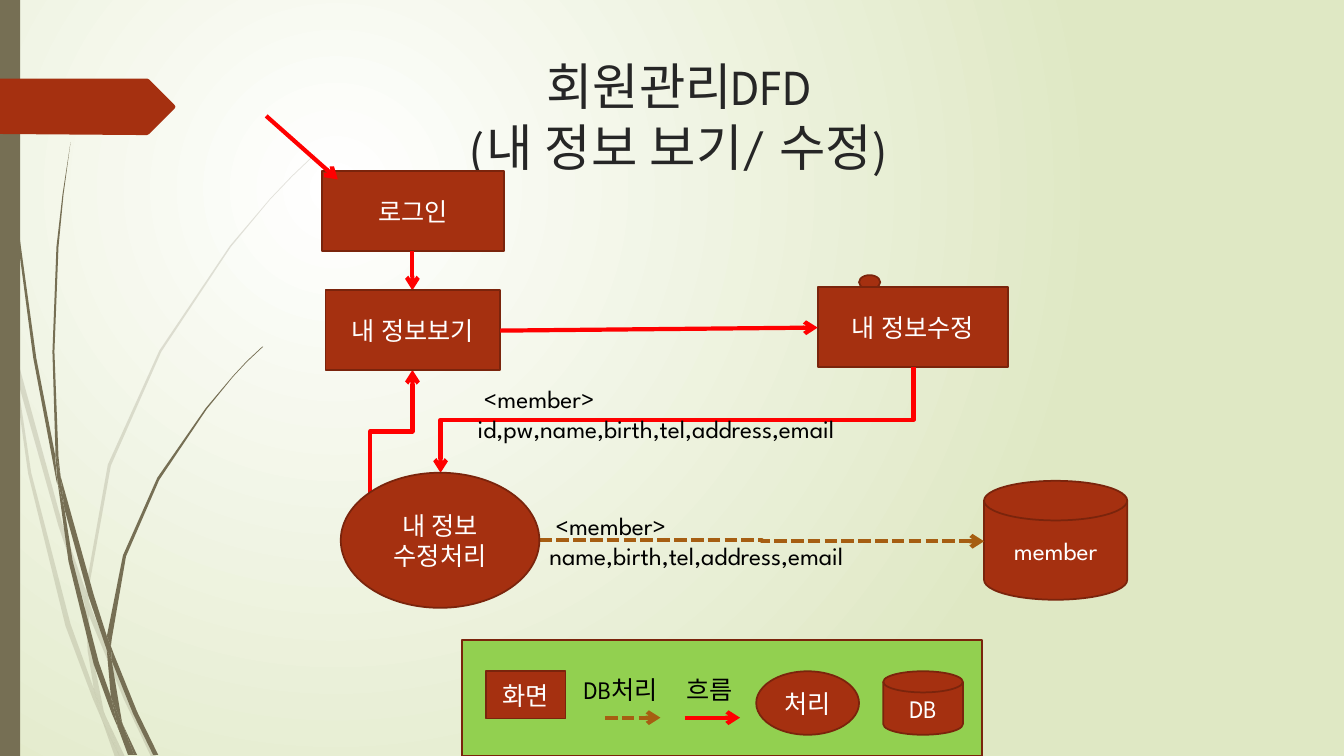
from lxml.etree import SubElement
from pptx import Presentation
from pptx.dml.color import RGBColor
from pptx.enum.dml import MSO_LINE_DASH_STYLE as Dash
from pptx.enum.shapes import MSO_CONNECTOR_TYPE as Link, MSO_SHAPE as Shape
from pptx.enum.text import MSO_ANCHOR as Anchor, MSO_AUTO_SIZE as AutoSize, PP_ALIGN as Align
from pptx.oxml.ns import qn
from pptx.util import Pt

PX = 9144
FONT = "League Spartan"
RUST, RUST_EDGE, OLIVE = "A53010", "7A240C", "766F54"
FLOW, STORE = "FF0000", "A65E12"

PALE_BLADES = [
    [(11, 350), (9, 322), (0, 282), (0, 299), (10, 344)],
    [(58, 522), (84, 599), (85, 586), (62, 520), (14, 345), (17, 376)],
    [(92, 607), (88, 596), (88, 610), (123, 694), (150, 751), (155, 751), (127, 692)],
    [(119, 751), (124, 751), (105, 711)],
    [(93, 683), (70, 619), (31, 469), (17, 376), (11, 350), (28, 470), (65, 621), (92, 693),
     (101, 714), (99, 707)],
    [(84, 599), (87, 646), (93, 683), (96, 692), (105, 711), (103, 706), (91, 646), (88, 610),
     (88, 608)],
    [(88, 584), (110, 462), (160, 349), (229, 245), (268, 198), (290, 175), (312, 154), (312, 153),
     (289, 175), (268, 197), (228, 244), (158, 348), (107, 461), (85, 584), (85, 586), (88, 596)],
    [(101, 714), (114, 751), (119, 751)],
    [(88, 608), (88, 610), (88, 596), (85, 586), (84, 599)],
    [(96, 692), (93, 683), (99, 707), (101, 714), (119, 751), (105, 711)],
]
DARK_BLADES = [
    [(7, 110), (17, 233), (33, 355), (56, 477), (57, 481), (55, 457), (55, 453), (36, 355),
     (19, 232), (8, 109), (5, 48), (4, 0), (3, 0), (4, 48)],
    [(88, 592), (106, 645), (106, 633), (106, 631), (93, 590), (60, 472), (64, 505)],
    [(113, 649), (110, 641), (111, 656), (132, 708), (152, 749), (157, 749), (136, 706)],
    [(110, 691), (98, 657), (72, 556), (64, 505), (57, 477), (68, 557), (93, 659), (111, 708),
     (117, 722), (116, 717)],
    [(60, 472), (58, 453), (54, 349), (58, 245), (63, 193), (70, 141), (62, 193), (56, 245),
     (52, 349), (55, 449)],
    [(133, 749), (136, 749), (122, 719)],
    [(57, 477), (64, 505), (60, 472), (55, 449), (55, 453)],
    [(111, 633), (125, 552), (158, 476), (205, 406), (231, 374), (245, 359), (261, 344), (260, 344),
     (245, 358), (231, 373), (204, 405), (156, 474), (122, 551), (106, 631), (110, 641)],
    [(117, 722), (127, 749), (131, 749)],
    [(106, 645), (110, 691), (116, 706), (122, 719), (121, 716), (111, 656), (109, 651)],
    [(106, 645), (109, 651), (111, 656), (110, 641), (106, 631), (106, 633)],
    [(116, 706), (110, 691), (116, 717), (117, 722), (130, 749), (133, 749), (122, 719)],
]
TAB = [(173, 108), (148, 133), (146, 134), (136, 134), (0, 133), (0, 78), (136, 78), (146, 78),
       (148, 79), (173, 104), (174, 106)]


def color(value):
    """Turn a hex string into a colour."""
    return RGBColor.from_string(value)


def write(shape, text, size=18, ink="FFFFFF", align=Align.CENTER, anchor=Anchor.MIDDLE, wrap=True):
    """Put formatted text, one paragraph a line, into a shape."""
    frame = shape.text_frame
    frame.text = text
    frame.word_wrap = wrap
    frame.auto_size = AutoSize.NONE
    frame.vertical_anchor = anchor
    for para in frame.paragraphs:
        para.alignment = align
        for span in para.runs:
            span.font.size = Pt(size)
            span.font.color.rgb = color(ink)
            span.font.name = FONT
            SubElement(span.font._element, qn("a:ea"), typeface=FONT)


def paint(shape, fill, edge=None):
    """Give a shape a flat fill and, where named, a thin edge."""
    shape.shadow.inherit = False
    shape.fill.solid()
    shape.fill.fore_color.rgb = color(fill)
    if edge:
        shape.line.color.rgb = color(edge)
        shape.line.width = Pt(1.25)
    else:
        shape.line.fill.background()


def add_node(page, kind, box, text="", fill=RUST, edge=RUST_EDGE):
    """Draw a filled preset shape with centred text."""
    node = page.shapes.add_shape(kind, *(value * PX for value in box))
    paint(node, fill, edge)
    if text:
        write(node, text)


def add_outline(page, points, fill=OLIVE, alpha=None):
    """Draw a closed outline, see-through where an alpha percentage is given."""
    builder = page.shapes.build_freeform(*points[0], scale=PX)
    builder.add_line_segments(points[1:], close=True)
    outline = builder.convert_to_shape()
    paint(outline, fill)
    if alpha:
        tint = outline.element.spPr.find(qn("a:solidFill"))[0]
        SubElement(tint, qn("a:alpha"), val=str(alpha * 1000))


def add_label(page, box, text):
    """Place plain black text at the top left of a box."""
    label = page.shapes.add_textbox(*(value * PX for value in box))
    write(label, text, ink="000000", align=Align.LEFT, anchor=Anchor.TOP, wrap=False)


def add_arrow(page, start, end, ink=FLOW, kind=Link.STRAIGHT, upright=False, dashed=False):
    """Draw an arrow; an upright elbow leaves and arrives vertically."""
    (x1, y1), (x2, y2) = start, end
    if upright:
        mid_x, mid_y = (x1 + x2) / 2, (y1 + y2) / 2
        half_x, half_y = (x2 - x1) / 2, (y2 - y1) / 2
        x1, y1, x2, y2 = mid_x - half_y, mid_y + half_x, mid_x + half_y, mid_y - half_x
    arrow = page.shapes.add_connector(kind, *(int(value * PX) for value in (x1, y1, x2, y2)))
    arrow.line.color.rgb = color(ink)
    arrow.line.width = Pt(3)
    if dashed:
        arrow.line.dash_style = Dash.SQUARE_DOT
    properties = arrow.element.spPr
    if upright:
        properties.find(qn("a:xfrm")).set("rot", "5400000")
    SubElement(properties.find(qn("a:ln")), qn("a:tailEnd"), type="arrow")
    SubElement(properties, qn("a:effectLst"))


def draw_backdrop(page, height):
    """Paint the glow, the grass, the side bar and the pointer tab."""
    fill = page.background.fill
    fill.gradient()
    for stop, ink in zip(fill.gradient_stops, ("FFFFFF", "DFE8C4")):
        stop.color.rgb = color(ink)
    gradient = next(page.element.iter(qn("a:gradFill")))
    gradient.remove(gradient.find(qn("a:lin")))
    glow = SubElement(gradient, qn("a:path"), path="circle")
    SubElement(glow, qn("a:fillToRect"), l="50000", t="50000", r="100000", b="100000")
    for points in PALE_BLADES:
        add_outline(page, points, alpha=20)
    for points in DARK_BLADES:
        add_outline(page, points)
    add_node(page, Shape.RECTANGLE, (0, 0, 20, height), fill=OLIVE, edge=None)
    add_outline(page, TAB, fill=RUST)


def draw_title(page, box):
    """Move and fill the title placeholder."""
    title = page.shapes.title
    title.left, title.top, title.width, title.height = (value * PX for value in box)
    write(title, "회원관리DFD\n(내 정보 보기/ 수정)", size=36, ink="262626", anchor=Anchor.TOP)
    tree = title.element.getparent()
    tree.append(title.element)


def draw_flow(page, box):
    """Draw the screens, the process, the store and the flows between them."""
    left, top = box[:2]

    def at(x, y, *size):
        return (left + x, top + y, *size)

    add_node(page, Shape.RECTANGLE, at(55, 55, 181, 79), "로그인")
    add_arrow(page, at(0, 0), at(71, 63))
    add_node(page, Shape.OVAL, at(588, 158, 21, 14))
    add_node(page, Shape.RECTANGLE, at(547, 170, 189, 79), "내 정보수정")
    add_node(page, Shape.FLOWCHART_MAGNETIC_DISK, at(712, 362, 142, 118), "member")
    add_arrow(page, at(145, 134), at(145, 173), kind=Link.ELBOW, upright=True)
    add_arrow(page, at(642, 249), at(173, 354), kind=Link.ELBOW, upright=True)
    add_arrow(page, at(103, 374), at(145, 252), kind=Link.ELBOW, upright=True)
    add_label(page, at(200, 260, 437, 70), " <member>\nid,pw,name,birth,tel,address,email")
    add_arrow(page, at(271, 421), at(712, 422), ink=STORE, kind=Link.ELBOW, dashed=True)
    add_label(page, at(271, 386, 363, 70), " <member>\nname,birth,tel,address,email")
    add_node(page, Shape.OVAL, at(74, 354, 197, 134), "내 정보\n수정처리")
    add_node(page, Shape.RECTANGLE, at(59, 173, 173, 79), "내 정보보기")
    add_arrow(page, at(232, 213), at(547, 210))


def draw_legend(page, box):
    """Draw the key to the symbols in its green panel."""
    left, top = box[:2]
    row = top + 31
    add_node(page, Shape.RECTANGLE, box, fill="92D050")
    add_node(page, Shape.RECTANGLE, (left + 24, row, 79, 47), "화면")
    add_node(page, Shape.FLOWCHART_MAGNETIC_DISK, (left + 418, row, 79, 63), "DB")
    add_node(page, Shape.OVAL, (left + 292, row, 102, 63), "처리")
    keys = (("흐름", 213, 71, 221, FLOW, False), ("DB처리", 111, 102, 142, STORE, True))
    for text, x, width, arrow_x, ink, dashed in keys:
        add_label(page, (left + x, top + 29, width, 40), text)
        add_arrow(page, (left + arrow_x, top + 77), (left + arrow_x + 55, top + 77),
                  ink=ink, dashed=dashed)


def main():
    """Build the slide and save it."""
    deck = Presentation()
    deck.slide_width, deck.slide_height = 1333 * PX, 750 * PX
    page = deck.slides.add_slide(deck.slide_layouts[5])
    draw_backdrop(page, 750)
    draw_title(page, (186, 50, 975, 140))
    draw_flow(page, (264, 115, 854, 488))
    draw_legend(page, (458, 635, 516, 115))
    deck.save("out.pptx")


if __name__ == "__main__":
    main()
